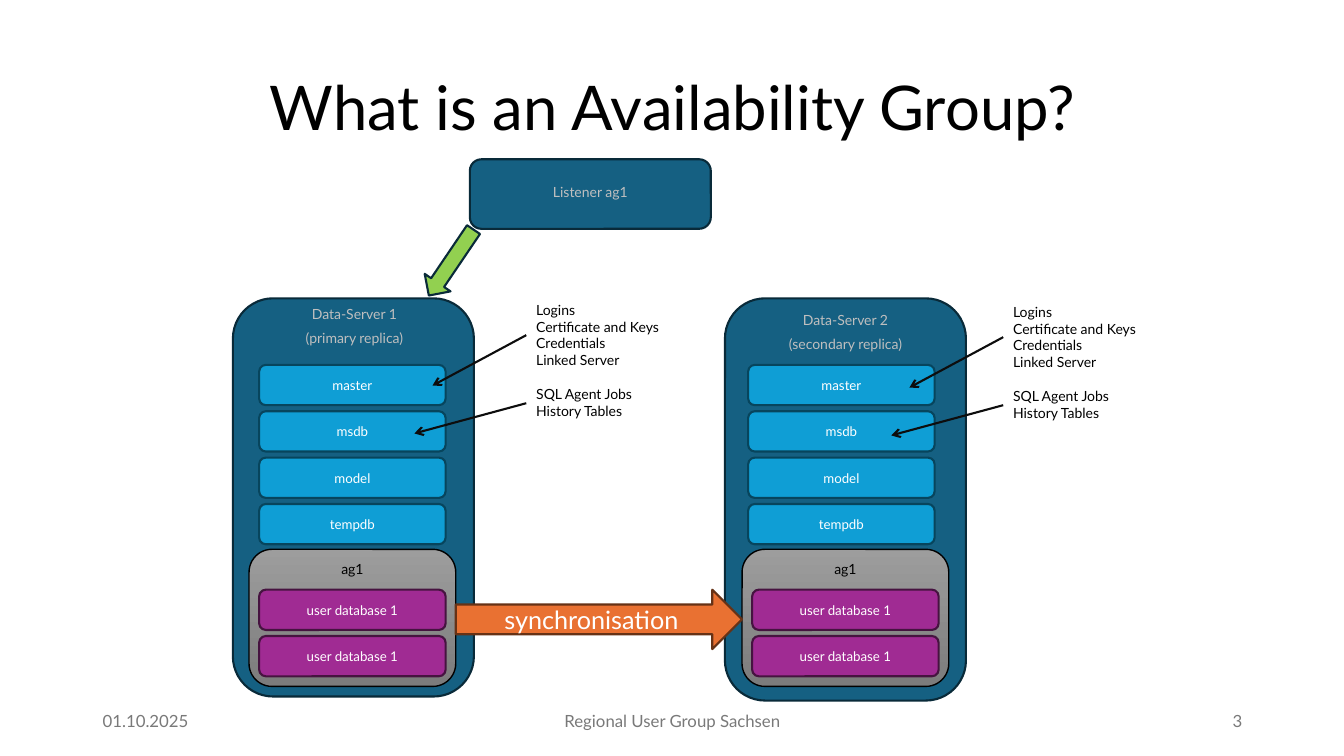
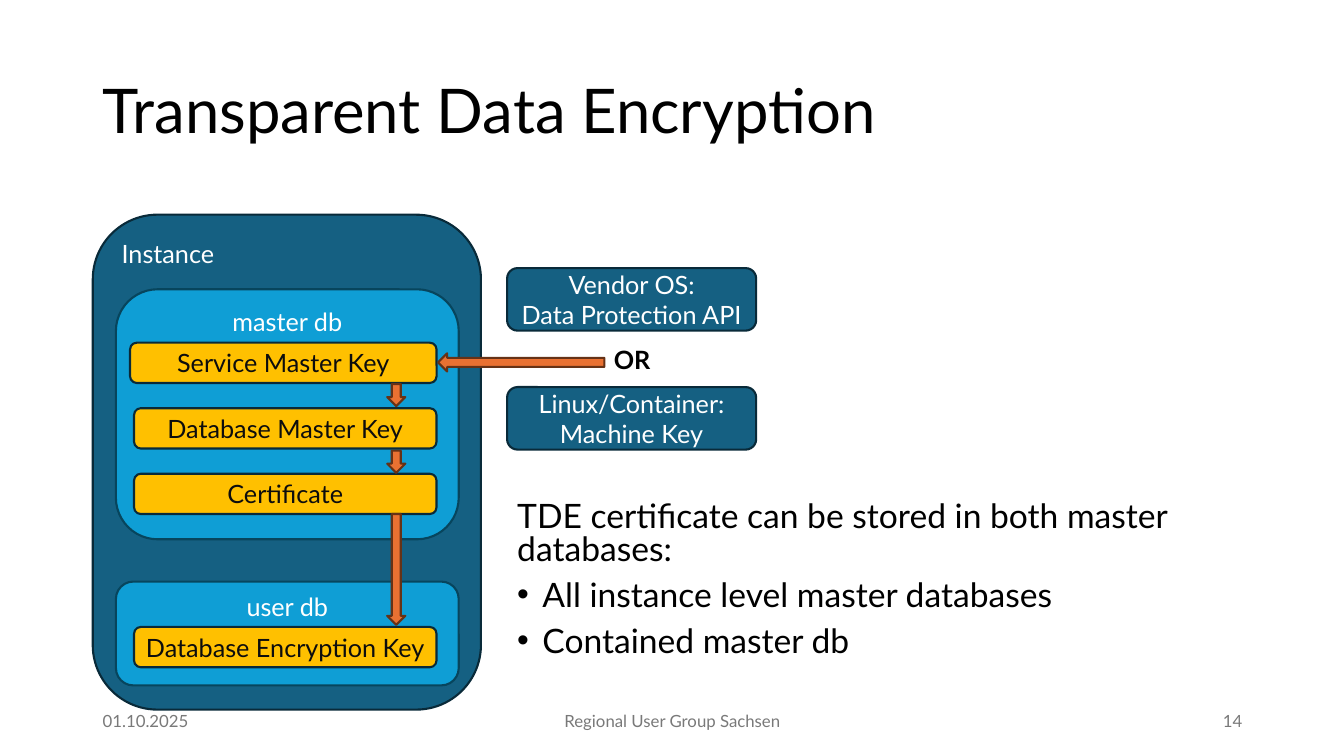
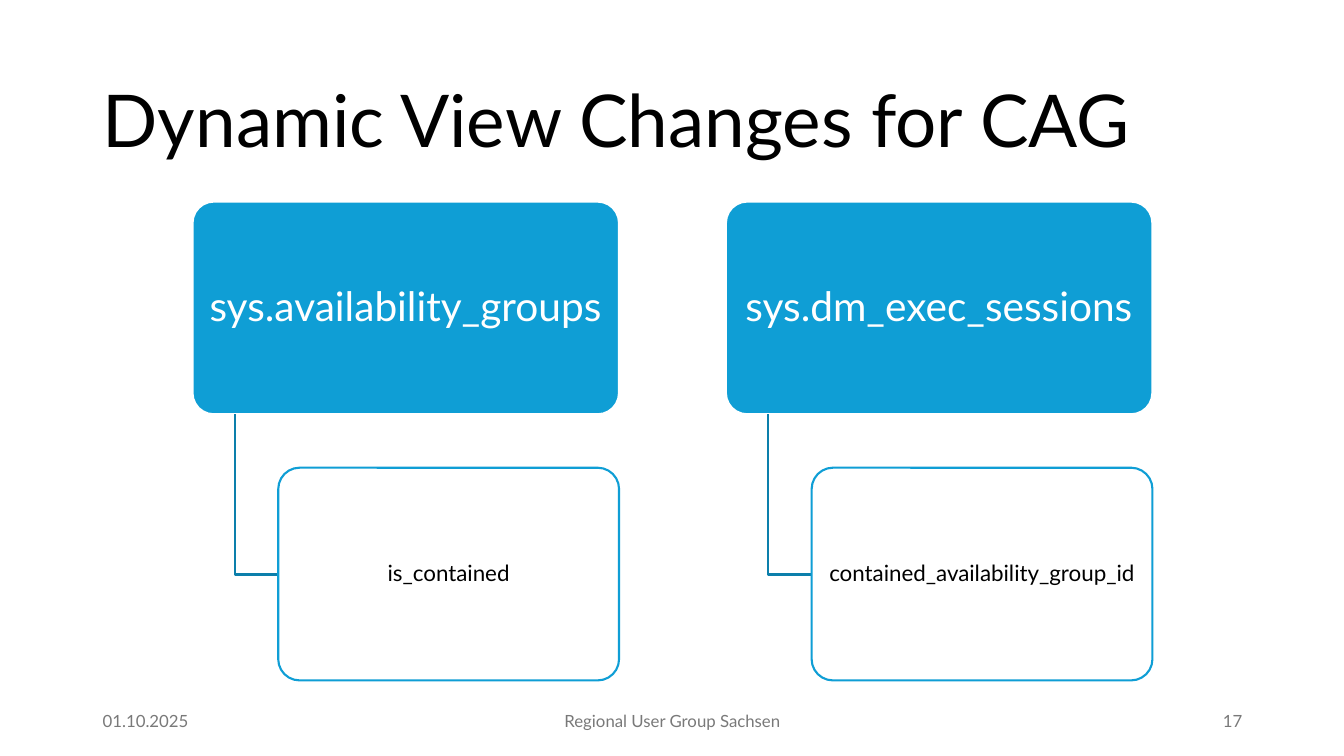
from lxml.etree import SubElement
from pptx import Presentation
from pptx.dml.color import RGBColor
from pptx.enum.shapes import MSO_CONNECTOR, MSO_SHAPE
from pptx.enum.text import MSO_ANCHOR, MSO_AUTO_SIZE, PP_ALIGN
from pptx.oxml.ns import qn
from pptx.util import Inches, Pt

FONT = "Lato"
BLACK, WHITE, GREY, SILVER, INK = "000000", "FFFFFF", "797979", "BFBFBF", "0D0D0D"
NAVY, NAVY_EDGE = "156082", "092A39"
BLUE, BLUE_EDGE, BLUE_LINK = "0F9ED5", "07455D", "0C7FAB"
PURPLE, PURPLE_EDGE = "A02B93", "461340"
ORANGE, ORANGE_EDGE = "E97132", "663216"
AMBER, GREEN = "FFC000", "92D050"
AG_TOP, AG_BOTTOM = "9D9D9D", "7C7C7C"
color = RGBColor.from_string
ROUND, DOWN = MSO_SHAPE.ROUNDED_RECTANGLE, MSO_SHAPE.DOWN_ARROW
LEFT, CENTER, RIGHT = PP_ALIGN.LEFT, PP_ALIGN.CENTER, PP_ALIGN.RIGHT
TOP, MIDDLE = MSO_ANCHOR.TOP, MSO_ANCHOR.MIDDLE


def write(frame, text, size, ink, align=CENTER, anchor=MIDDLE, after=0, spacing=1.0, bold=False):
    frame.text = text
    frame.word_wrap = True
    frame.auto_size = MSO_AUTO_SIZE.NONE
    frame.vertical_anchor = anchor
    for paragraph in frame.paragraphs:
        paragraph.alignment = align
        paragraph.line_spacing = spacing
        paragraph.space_before = Pt(0)
        paragraph.space_after = Pt(after)
        for run in paragraph.runs:
            run.font.name = FONT
            run.font.size = Pt(size)
            run.font.bold = bold
            run.font.color.rgb = color(ink)


def box(slide, at, kind=None, fill=None, edge=None, text="", size=18, ink=WHITE,
        inset=0.1, width=1.5, **style):
    place = [Inches(value) for value in at]
    if kind is None:
        shape = slide.shapes.add_textbox(*place)
    else:
        shape = slide.shapes.add_shape(kind, *place)
        shape.shadow.inherit = False
        shape.fill.solid()
        shape.fill.fore_color.rgb = color(fill)
        shape.line.color.rgb = color(edge)
        shape.line.width = Pt(width)
    if text:
        write(shape.text_frame, text, size, ink, **style)
        shape.text_frame.margin_left = shape.text_frame.margin_right = Inches(inset)
    return shape


deck = Presentation()
deck.slide_width, deck.slide_height = Inches(13.33), Inches(7.5)

slides = []
for layout, title, at, size, align, number in [
    (5, "What is an Availability Group?", (1.66, 0.48, 10.02, 1.24), 44, CENTER, "3"),
    (1, "Transparent Data Encryption", (0.92, 0.4, 11.5, 1.45), 44, LEFT, "14"),
    (5, "Dynamic View Changes for CAG", (0.92, 0.61, 11.5, 1.24), 52, LEFT, "17"),
]:
    slide = deck.slides.add_slide(deck.slide_layouts[layout])
    heading = slide.shapes.title
    heading.left, heading.top, heading.width, heading.height = [Inches(v) for v in at]
    write(heading.text_frame, title, size, BLACK, align=align, spacing=0.9)
    for left, span, text, side in [
        (0.92, 3, "01.10.2025", LEFT),
        (4.42, 4.5, "Regional User Group Sachsen", CENTER),
        (9.42, 3, number, RIGHT),
    ]:
        box(slide, (left, 6.95, span, 0.4), text=text, size=12, ink=GREY, align=side)
    slides.append(slide)
group_slide, encryption_slide, views_slide = slides

for server_x, server_h, header_x, header_y, db_x, ag_x, notes_x, notes_y, header in [
    (2.31, 3.95, 2.57, 2.98, 2.57, 2.47, 5.22, 2.94, "Data-Server 1\n(primary replica)"),
    (7.19, 3.99, 7.44, 3.04, 7.42, 7.36, 9.95, 2.96, "Data-Server 2\n(secondary replica)"),
]:
    box(group_slide, (server_x, 2.96, 2.39, server_h), ROUND, NAVY, NAVY_EDGE)
    box(group_slide, (header_x, header_y, 1.89, 0.51), text=header, size=10, ink=SILVER,
        anchor=TOP, after=5)
    for row, database in enumerate(["master", "msdb", "model", "tempdb"]):
        box(group_slide, (db_x, 3.62 + 0.46 * row, 1.85, 0.4), ROUND, BLUE, BLUE_EDGE,
            database, 9.5, after=5)
    group = box(group_slide, (ag_x, 5.45, 2.05, 1.36), ROUND, AG_TOP, BLACK, "ag1", 10,
                BLACK, width=1, anchor=TOP)
    group.fill.gradient()
    group.fill.gradient_angle = 270
    for stop, shade in zip(group.fill.gradient_stops, [AG_TOP, AG_BOTTOM]):
        stop.color.rgb = color(shade)
    for row in range(2):
        box(group_slide, (ag_x + 0.1, 5.85 + 0.46 * row, 1.85, 0.4), ROUND, PURPLE,
            PURPLE_EDGE, "user database 1", 9.5, after=5)
    for top, height, text, reach, drop in [
        (notes_y, 0.77, "Logins\nCertificate and Keys\nCredentials\nLinked Server", 0.93, 0.5),
        (notes_y + 0.84, 0.44, "SQL Agent Jobs\nHistory Tables", 1.11, 0.3),
    ]:
        note = box(group_slide, (notes_x, top, 1.54, height), text=text, size=10, ink=BLACK,
                   align=LEFT, anchor=TOP)
        middle = top + height / 2
        pointer = group_slide.shapes.add_connector(
            MSO_CONNECTOR.STRAIGHT, Inches(notes_x), Inches(middle),
            Inches(notes_x - reach), Inches(middle + drop))
        pointer.begin_connect(note, 1)
        pointer.line.color.rgb = color(INK)
        pointer.line.width = Pt(1.5)
        properties = pointer._element.spPr
        SubElement(properties.find(qn("a:ln")), qn("a:tailEnd"), type="arrow")
        SubElement(properties, qn("a:effectLst"))

box(group_slide, (4.66, 1.58, 2.39, 0.69), ROUND, NAVY, NAVY_EDGE)
box(group_slide, (4.77, 1.77, 2.17, 0.27), text="Listener ag1", size=10, ink=SILVER,
    anchor=TOP, after=5)
box(group_slide, (4.52, 5.85, 2.84, 0.59), MSO_SHAPE.RIGHT_ARROW, ORANGE, ORANGE_EDGE,
    "synchronisation")
listener_arrow = box(group_slide, (4.32, 2.21, 0.31, 0.79), DOWN, GREEN, NAVY_EDGE)
listener_arrow.rotation = 34.1

storage = encryption_slide.placeholders[1]
storage.left, storage.top, storage.width, storage.height = [
    Inches(v) for v in (5.03, 4.94, 7.74, 1.81)]
write(storage.text_frame, "TDE certificate can be stored in both master databases:\n"
      "All instance level master databases\nContained master db", 24, BLACK,
      align=LEFT, anchor=TOP, spacing=0.8)
for index, paragraph in enumerate(storage.text_frame.paragraphs):
    properties = paragraph._p.get_or_add_pPr()
    indent = Inches(0.25) if index else 0
    properties.set("marL", str(indent))
    properties.set("indent", str(-indent))
    if index:
        paragraph.space_before = Pt(10)
        SubElement(properties, qn("a:buFont"), typeface="Arial")
        SubElement(properties, qn("a:buChar"), char="•")
    else:
        SubElement(properties, qn("a:buNone"))

box(encryption_slide, (0.92, 2.13, 3.85, 4.91), ROUND, NAVY, NAVY_EDGE, "Instance",
    align=LEFT, anchor=TOP)
for top, text in [(2.66, "Vendor OS:\nData Protection API"),
                  (3.84, "Linux/Container:\nMachine Key")]:
    box(encryption_slide, (5.03, top, 2.47, 0.62), ROUND, NAVY, NAVY_EDGE, text)
box(encryption_slide, (5.99, 3.37, 0.6, 0.4), text="OR", ink=BLACK, align=LEFT,
    anchor=TOP, bold=True)
for top, height, text in [(2.87, 2.48, "master db"), (5.77, 1.03, "user db")]:
    box(encryption_slide, (1.15, top, 3.4, height), ROUND, BLUE, BLUE_EDGE, text, anchor=TOP)
for left, top, key in [
    (1.29, 3.4, "Service Master Key"),
    (1.33, 4.05, "Database Master Key"),
    (1.33, 4.7, "Certificate"),
    (1.33, 6.22, "Database Encryption Key"),
]:
    box(encryption_slide, (left, top, 4.33 - left, 0.4), ROUND, AMBER, NAVY_EDGE, key,
        ink=INK, inset=0.05)
for left, top, length, turn in [
    (3.84, 3.81, 0.22, 0), (3.84, 4.47, 0.22, 0), (3.84, 5.1, 1.1, 0), (5.08, 2.77, 1.65, 90),
]:
    key_arrow = box(encryption_slide, (left, top, 0.18, length), DOWN, ORANGE, ORANGE_EDGE)
    key_arrow.rotation = turn

for left, view, column in [
    (1.91, "sys.availability_groups", "is_contained"),
    (7.2, "sys.dm_exec_sessions", "contained_availability_group_id"),
]:
    view_card = box(views_slide, (left, 2, 4.23, 2.11), ROUND, BLUE, WHITE, view, 29,
                    inset=0.06, spacing=0.9)
    outline = views_slide.shapes.build_freeform(Inches(left + 0.42), Inches(4.11))
    outline.add_line_segments([(Inches(left + 0.42), Inches(5.7)),
                               (Inches(left + 0.85), Inches(5.7))], close=False)
    branch = outline.convert_to_shape()
    branch.shadow.inherit = False
    branch.fill.background()
    branch.line.color.rgb = color(BLUE_LINK)
    branch.line.width = Pt(1.5)
    column_card = box(views_slide, (left + 0.85, 4.64, 3.38, 2.11), ROUND, WHITE, BLUE, column,
                      16, BLACK, inset=0.03, spacing=0.9)
    for card in (view_card, column_card):
        card.adjustments[0] = 0.1

deck.save("out.pptx")
